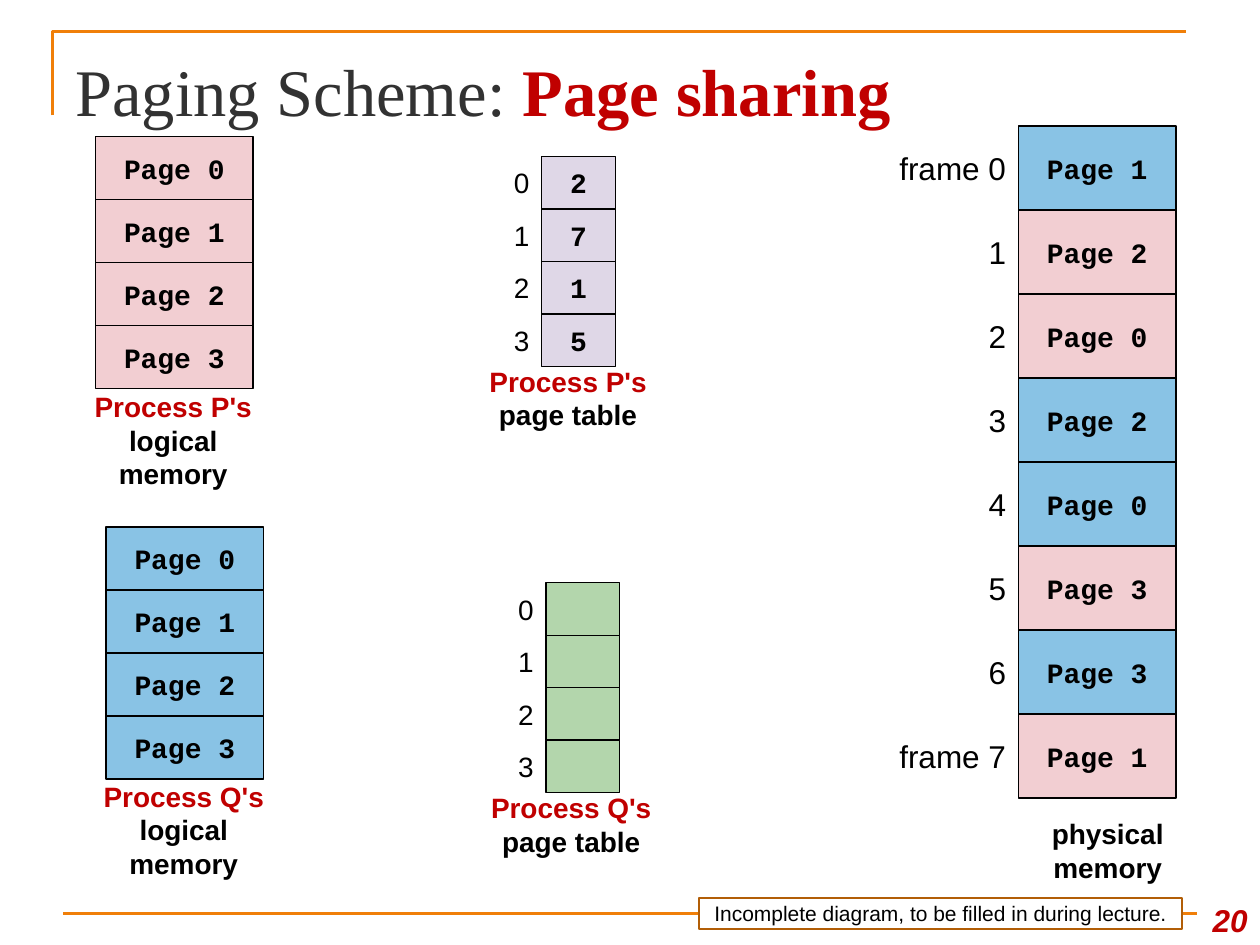
from dataclasses import dataclass

import pptx
import pptx.dml.color
import pptx.enum.shapes
import pptx.enum.text
import pptx.oxml.ns
import pptx.util
from lxml import etree

EMU_PER_PX = 7620
COLORS = {
    "black": "000000", "white": "FFFFFF", "title": "323232", "red": "C00000",
    "orange": "F07F09", "brown": "B25E07", "pink": "F2CED2", "blue": "89C3E5",
    "lilac": "DFD7E7", "green": "B3D6AC",
}
ALIGN = pptx.enum.text.PP_ALIGN
ANCHOR = pptx.enum.text.MSO_ANCHOR


@dataclass
class Box:
    left: int
    top: int
    width: int
    height: int


@dataclass
class Style:
    size: int = 16
    font: str = "Arial"
    color: str = "black"
    bold: bool = False
    italic: bool = False


@dataclass
class Stack:
    left: int
    top: int
    width: int
    height: int
    fills: list[str]
    texts: list[str]


@dataclass
class Labels:
    stack: Stack
    texts: list[str]
    width: int
    size: int


@dataclass
class Caption:
    box: Box
    owner: str
    text: str


CELL = Style(font="Courier New", bold=True)
PAGES = [f"Page {number}" for number in range(4)]
NUMBERS = [str(number) for number in range(4)]
FRAME_FILLS = ["blue", "pink", "pink", "blue", "blue", "pink", "blue", "pink"]
FRAME_PAGES = [f"Page {number}" for number in (1, 2, 0, 2, 0, 3, 3, 1)]
FRAME_NAMES = ["frame 0", "1", "2", "3", "4", "5", "6", "frame 7"]

TABLE_P = Stack(516, 149, 70, 50, ["lilac"] * 4, ["2", "7", "1", "5"])
TABLE_Q = Stack(520, 555, 70, 50, ["green"] * 4, [""] * 4)
FRAMES = Stack(970, 120, 150, 80, FRAME_FILLS, FRAME_PAGES)
STACKS = [
    Stack(91, 130, 150, 60, ["pink"] * 4, PAGES),
    Stack(101, 502, 150, 60, ["blue"] * 4, PAGES),
    TABLE_P, TABLE_Q, FRAMES,
]
LABELS = [
    Labels(TABLE_P, NUMBERS, 60, 16),
    Labels(TABLE_Q, NUMBERS, 60, 16),
    Labels(FRAMES, FRAME_NAMES, 130, 18),
]
CAPTIONS = [
    Caption(Box(60, 374, 210, 90), "Process P's", "logical memory"),
    Caption(Box(70, 745, 210, 90), "Process Q's", "logical memory"),
    Caption(Box(436, 359, 210, 40), "Process P's", "page table"),
    Caption(Box(439, 765, 210, 40), "Process Q's", "page table"),
    Caption(Box(950, 760, 210, 100), "", "physical memory"),
]


def px(value: int) -> pptx.util.Emu:
    return pptx.util.Emu(value * EMU_PER_PX)


def rgb(name: str) -> pptx.dml.color.RGBColor:
    return pptx.dml.color.RGBColor.from_string(COLORS[name])


def place(box: Box) -> tuple:
    return px(box.left), px(box.top), px(box.width), px(box.height)


def format_font(font, style: Style) -> None:
    font.size = pptx.util.Pt(style.size)
    font.name = style.font
    font.bold = style.bold
    font.italic = style.italic
    font.color.rgb = rgb(style.color)


def set_line(shape, color: str, width: float) -> None:
    shape.line.color.rgb = rgb(color)
    shape.line.width = pptx.util.Pt(width)


def write(shape, lines: list[tuple[str, Style]], align, anchor=ANCHOR.MIDDLE, wrap: bool = True) -> None:
    frame = shape.text_frame
    frame.word_wrap = wrap
    frame.vertical_anchor = anchor
    frame.text = "\n".join(text for text, _ in lines)
    for paragraph, (_, style) in zip(frame.paragraphs, lines):
        paragraph.alignment = align
        for run in paragraph.runs:
            format_font(run.font, style)


def add_text(slide, box: Box, lines: list[tuple[str, Style]], align, anchor=ANCHOR.MIDDLE):
    shape = slide.shapes.add_textbox(*place(box))
    write(shape, lines, align, anchor)
    return shape


def add_rectangle(slide, box: Box, fill: str, line: str, width: float):
    shape = slide.shapes.add_shape(pptx.enum.shapes.MSO_SHAPE.RECTANGLE, *place(box))
    shape.shadow.inherit = False
    shape.fill.solid()
    shape.fill.fore_color.rgb = rgb(fill)
    set_line(shape, line, width)
    return shape


def draw_stack(slide, stack: Stack) -> None:
    for row, (fill, text) in enumerate(zip(stack.fills, stack.texts)):
        box = Box(stack.left, stack.top + row * stack.height, stack.width, stack.height)
        cell = add_rectangle(slide, box, fill, "black", 0.75)
        if text:
            write(cell, [(text, CELL)], ALIGN.CENTER)


def draw_labels(slide, labels: Labels) -> None:
    stack = labels.stack
    for row, text in enumerate(labels.texts):
        box = Box(stack.left - labels.width, stack.top + row * stack.height, labels.width, stack.height)
        add_text(slide, box, [(text, Style(labels.size))], ALIGN.RIGHT)


def draw_caption(slide, caption: Caption) -> None:
    lines = [(caption.text, Style(bold=True))]
    if caption.owner:
        lines.insert(0, (caption.owner, Style(color="red", bold=True)))
    add_text(slide, caption.box, lines, ALIGN.CENTER)


def draw_rules(slide) -> None:
    builder = slide.shapes.build_freeform(50, 110, scale=EMU_PER_PX)
    builder.add_line_segments([(50, 30), (1130, 30)], close=False)
    corner = builder.convert_to_shape()
    corner.shadow.inherit = False
    corner.fill.background()
    set_line(corner, "orange", 1.5)
    rule = slide.shapes.add_connector(
        pptx.enum.shapes.MSO_CONNECTOR.STRAIGHT, px(60), px(870), px(1140), px(870))
    set_line(rule, "orange", 1.5)
    etree.SubElement(rule._element.spPr, pptx.oxml.ns.qn("a:effectLst"))


def draw_title(slide) -> None:
    style = Style(38, "Times New Roman", "title")
    title = add_text(slide, Box(60, 36, 1080, 94), [("Paging Scheme: ", style)], ALIGN.LEFT, ANCHOR.BOTTOM)
    topic = title.text_frame.paragraphs[0].add_run()
    topic.text = "Page sharing"
    format_font(topic.font, Style(38, "Times New Roman", "red", bold=True))


def main() -> None:
    presentation = pptx.Presentation()
    presentation.slide_width = px(1200)
    presentation.slide_height = px(900)
    slide = presentation.slides.add_slide(presentation.slide_layouts[6])
    draw_rules(slide)
    draw_title(slide)
    add_text(slide, Box(1130, 840, 70, 60), [("20", Style(18, color="red", bold=True, italic=True))],
             ALIGN.RIGHT, ANCHOR.BOTTOM)
    for stack in STACKS:
        draw_stack(slide, stack)
    for labels in LABELS:
        draw_labels(slide, labels)
    for caption in CAPTIONS:
        draw_caption(slide, caption)
    note = add_rectangle(slide, Box(666, 855, 460, 30), "white", "brown", 1)
    write(note, [("Incomplete diagram, to be filled in during lecture.", Style(12))], ALIGN.CENTER, wrap=False)
    presentation.save("out.pptx")


if __name__ == "__main__":
    main()
